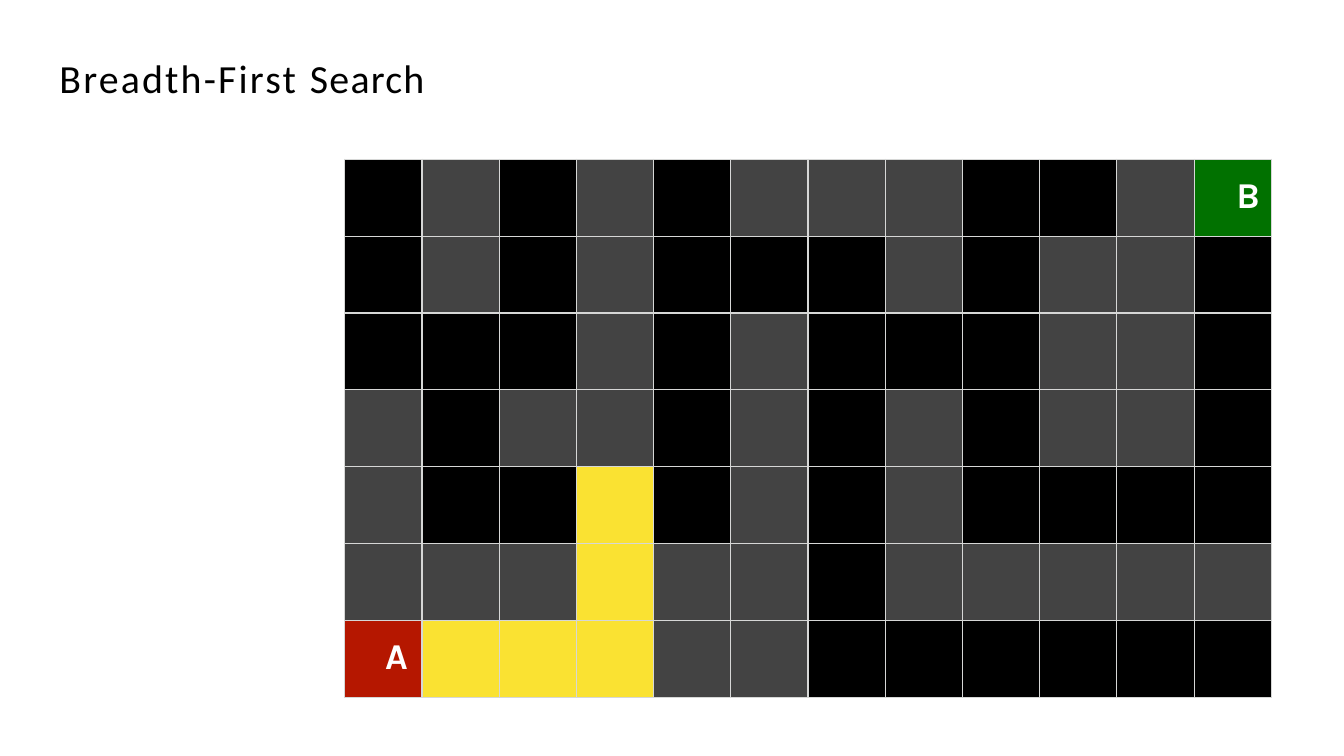
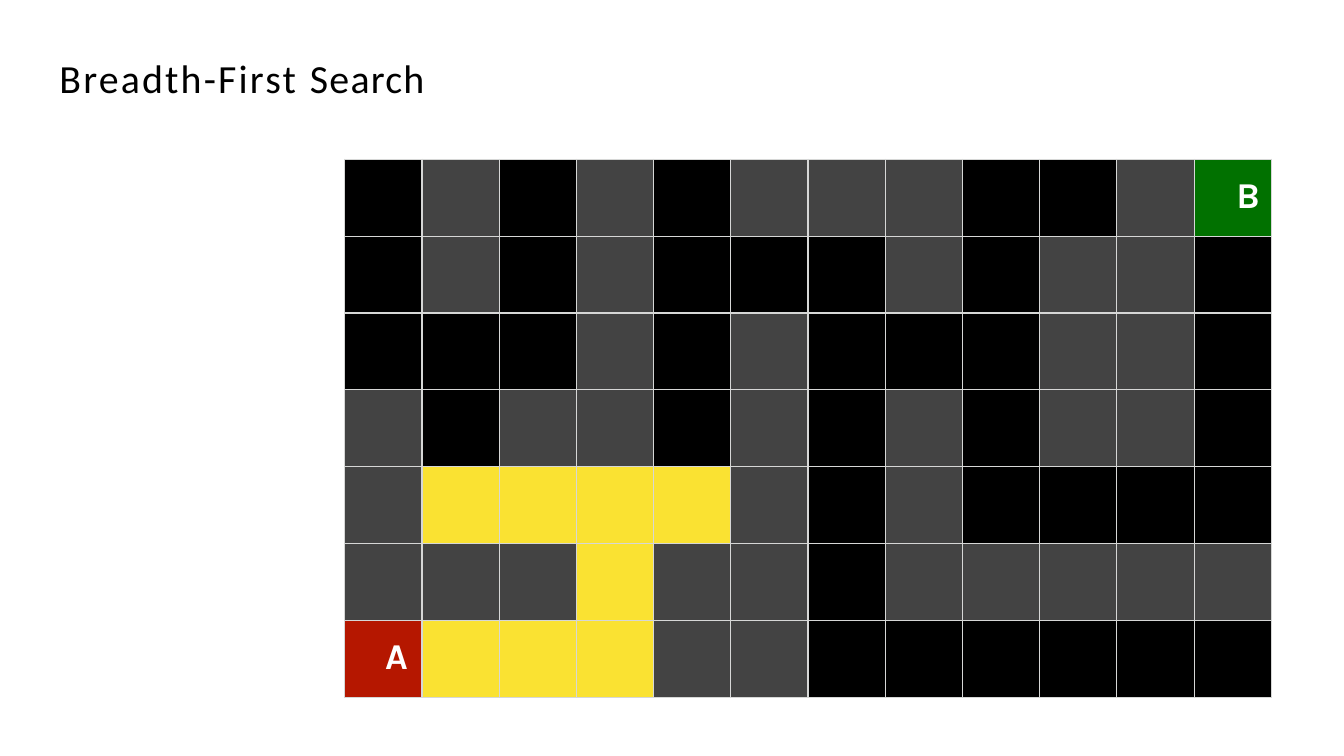
from collections import namedtuple

from lxml.etree import SubElement
from pptx import Presentation
from pptx.dml.color import RGBColor as RGB
from pptx.enum.text import MSO_ANCHOR as Anchor, MSO_AUTO_SIZE as AutoSize, PP_ALIGN as Align
from pptx.oxml.ns import qn
from pptx.util import Inches, Pt

# Theme: fonts, sizes and colours
Theme = namedtuple("Theme", "title_font title_size title_color mark_font mark_size mark_color grid_line")
theme = Theme("Calibri", Pt(28.5), RGB.from_string("000000"),
              "Karla", Pt(26), RGB.from_string("FFFFFF"), "D6D7D6")
cell_colors = {
    "#": RGB.from_string("434343"),  # wall
    ".": RGB.from_string("000000"),  # open
    "*": RGB.from_string("FAE232"),  # explored
    "A": RGB.from_string("B51700"),  # start
    "B": RGB.from_string("017100"),  # goal
}
mark_offsets = {"A": (0.4, 0.15), "B": (0.42, 0.16)}  # left, top in inches

# The maze, and the squares explored on each slide as (row, column)
maze = [
    ".#.#.###..#B",
    ".#.#...#.##.",
    "...#.#...##.",
    "#.##.#.#.##.",
    "#....#.#....",
    "###.##.#####",
    "A...##......",
]
first_steps = {(6, 1), (6, 2), (6, 3), (5, 3), (4, 3)}
search_stages = [first_steps, first_steps | {(4, 1), (4, 2), (4, 4)}]


def add_title(slide, parts):
    """Fill the title with (text, letter spacing in 1/100 pt) parts."""
    title = slide.shapes.title
    title.left, title.top, title.width, title.height = map(Inches, (0.58, 0.52, 4.05, 0.49))
    frame = title.text_frame
    frame.margin_left = frame.margin_top = Inches(0.01)
    frame.margin_right = frame.margin_bottom = 0
    frame.vertical_anchor = Anchor.MIDDLE
    frame.auto_size = AutoSize.SHAPE_TO_FIT_TEXT
    heading = frame.paragraphs[0]
    heading.alignment = Align.LEFT
    heading.font.name = theme.title_font
    heading.font.size = theme.title_size
    heading.font.color.rgb = theme.title_color
    for text, spacing in parts:
        run = heading.add_run()
        run.text = text
        run.font._element.set("spc", str(spacing))


def outline(cell):
    """Draw a 1 pt line on all four sides of a cell."""
    properties = cell._tc.get_or_add_tcPr()
    for side in ("lnL", "lnR", "lnT", "lnB"):
        line = SubElement(properties, qn(f"a:{side}"), w=str(Pt(1)))
        fill = SubElement(line, qn("a:solidFill"))
        SubElement(fill, qn("a:srgbClr"), val=theme.grid_line)


deck = Presentation()
deck.slide_width, deck.slide_height = Inches(13.33), Inches(7.5)

for explored in search_stages:
    slide = deck.slides.add_slide(deck.slide_layouts[5])
    add_title(slide, [("Breadth-First ", 160), ("Search", 90)])

    # Maze grid
    grid = slide.shapes.add_table(len(maze), len(maze[0]), Inches(3.42), Inches(1.58),
                                  Inches(9.19), Inches(5.34)).table
    grid.first_row = grid.horz_banding = False

    for row, squares in enumerate(maze):
        for column, square in enumerate(squares):
            cell = grid.cell(row, column)
            outline(cell)
            cell.fill.solid()
            cell.fill.fore_color.rgb = cell_colors["*" if (row, column) in explored else square]

            # Start and goal letters
            if square in mark_offsets:
                cell.margin_left, cell.margin_top = map(Inches, mark_offsets[square])
                cell.margin_right = cell.margin_bottom = 0
                cell.text = square
                mark = cell.text_frame.paragraphs[0]
                mark.font.name = theme.mark_font
                mark.font.size = theme.mark_size
                mark.font.bold = True
                mark.font.color.rgb = theme.mark_color

deck.save("out.pptx")
